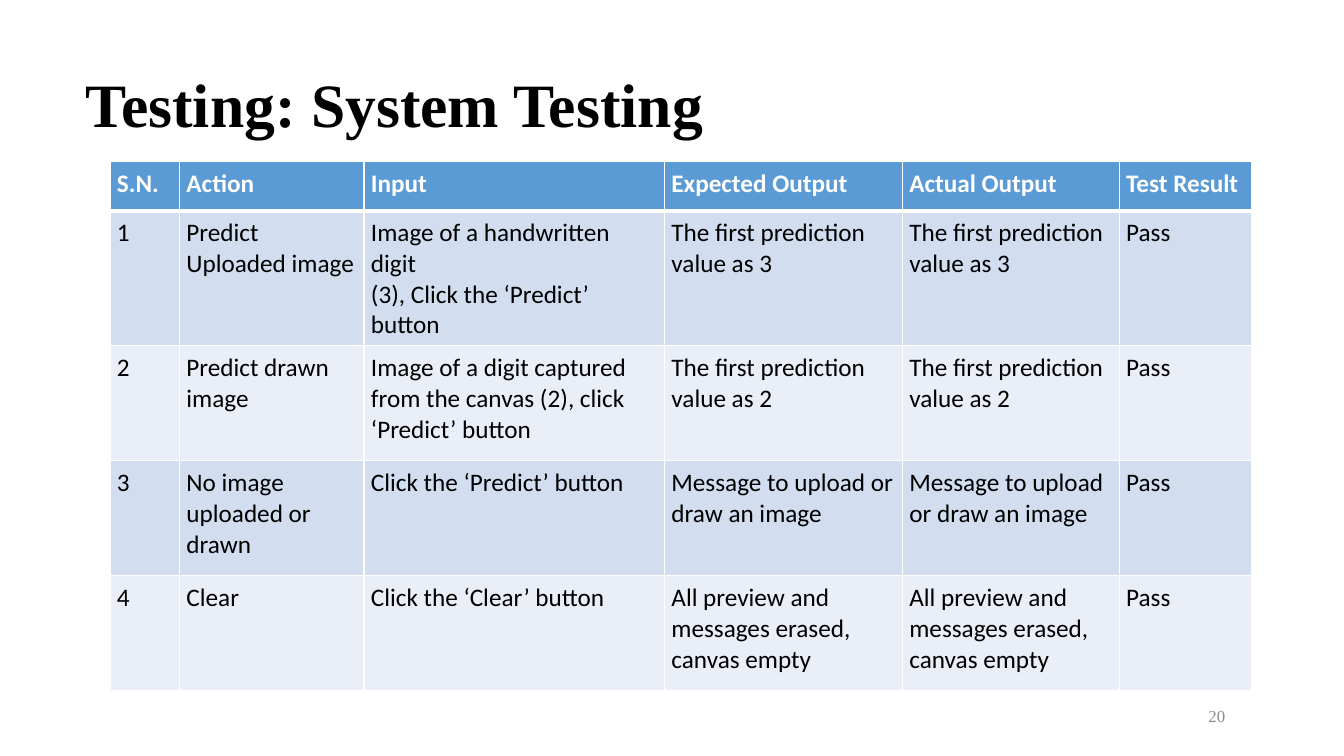
"""Build the system testing slide with its table of test cases."""
from dataclasses import dataclass

from lxml import etree
from pptx import Presentation
from pptx import util as u
from pptx.dml.color import RGBColor
from pptx.enum import text as t
from pptx.oxml import ns


@dataclass(frozen=True)
class Theme:
    """Colours, fonts and type sizes."""
    ink: str = "000000"
    white: str = "FFFFFF"
    grey: str = "8C8C8C"
    head: str = "5B9BD5"
    bands: tuple = ("D2DEEF", "EAEFF7")
    serif: str = "Times New Roman"
    sans: str = "Calibri"
    title: int = 44
    body: int = 18
    small: int = 12


LOOK = Theme()
COLS = (0.69, 1.83, 2.98, 2.36, 2.15, 1.31)
CASES = (
    ("S.N.", "Action", "Input", "Expected Output", "Actual Output", "Test Result"),
    ("1", "Predict Uploaded image",
     "Image of a handwritten digit\n(3), Click the ‘Predict’ button",
     "The first prediction value as 3", "The first prediction value as 3", "Pass"),
    ("2", "Predict drawn image",
     "Image of a digit captured from the canvas (2), click ‘Predict’ button",
     "The first prediction value as 2", "The first prediction value as 2", "Pass"),
    ("3", "No image uploaded or drawn", "Click the ‘Predict’ button",
     "Message to upload or draw an image", "Message to upload or draw an image", "Pass"),
    ("4", "Clear", "Click the ‘Clear’ button",
     "All preview and messages erased, canvas empty",
     "All preview and messages erased, canvas empty", "Pass"),
)


def apply(item, values):
    """Set each attribute of an item from a dict."""
    for name, value in values.items():
        setattr(item, name, value)


def place(shape, left, top, width, height):
    """Put a shape at a place given in inches."""
    apply(shape, {"left": u.Inches(left), "top": u.Inches(top),
                  "width": u.Inches(width), "height": u.Inches(height)})


def write(frame, words, size, face, color, bold=False, **layout):
    """Fill a text frame with one formatted paragraph."""
    par = frame.paragraphs[0]
    par.text = words
    apply(par, layout)
    for run in par.runs:
        apply(run.font, {"size": u.Pt(size), "name": face, "bold": bold})
        run.font.color.rgb = RGBColor.from_string(color)


def edge(cell, side, width):
    """Add a white border on one side of a cell."""
    line = etree.SubElement(cell._tc.get_or_add_tcPr(), ns.qn(f"a:ln{side}"),
                            w=str(u.Pt(width)))
    fill = etree.SubElement(line, ns.qn("a:solidFill"))
    etree.SubElement(fill, ns.qn("a:srgbClr"), val=LOOK.white)


def style(cell, row):
    """Give a cell its margins, borders and fill."""
    gap = u.Inches(0.07)
    apply(cell, {f"margin_{side}": gap for side in ("left", "right", "top", "bottom")})
    for side in "LRTB":
        edge(cell, side, 3 if (row, side) in ((0, "B"), (1, "T")) else 1)
    cell.fill.solid()
    color = LOOK.bands[(row - 1) % 2] if row else LOOK.head
    cell.fill.fore_color.rgb = RGBColor.from_string(color)


def add_title(slide, words):
    """Place and write the slide title."""
    title = slide.shapes.title
    place(title, 0.75, 0.34, 11.5, 1.45)
    apply(title.text_frame, {"vertical_anchor": t.MSO_ANCHOR.MIDDLE, "word_wrap": True})
    write(title.text_frame, words, LOOK.title, LOOK.serif, LOOK.ink, True,
          alignment=t.PP_ALIGN.LEFT, line_spacing=0.9)


def add_number(slide, words):
    """Write the page number at the lower right."""
    box = slide.shapes.add_textbox(0, 0, 0, 0)
    place(box, 9.25, 6.9, 3, 0.4)
    apply(box.text_frame, {"vertical_anchor": t.MSO_ANCHOR.MIDDLE, "word_wrap": True})
    write(box.text_frame, words, LOOK.small, LOOK.serif, LOOK.grey,
          alignment=t.PP_ALIGN.RIGHT)


def add_cases(slide):
    """Draw the table of test cases."""
    table = slide.shapes.add_table(len(CASES), len(COLS), u.Inches(1.09), u.Inches(1.6),
                                   u.Inches(sum(COLS)), u.Inches(5.05)).table
    for col, width in zip(table.columns, COLS):
        col.width = u.Inches(width)
    for row, case in enumerate(CASES):
        table.rows[row].height = u.Inches(1.14 if row else 0.49)
        for col, words in enumerate(case):
            cell = table.cell(row, col)
            style(cell, row)
            write(cell.text_frame, words, LOOK.body, LOOK.sans,
                  LOOK.ink if row else LOOK.white, not row)


def main():
    """Build and save the slide."""
    deck = Presentation()
    apply(deck, {"slide_width": u.Inches(13.33), "slide_height": u.Inches(7.5)})
    slide = deck.slides.add_slide(deck.slide_layouts[5])
    add_title(slide, "Testing: System Testing")
    add_number(slide, "20")
    add_cases(slide)
    deck.save("out.pptx")


if __name__ == "__main__":
    main()
